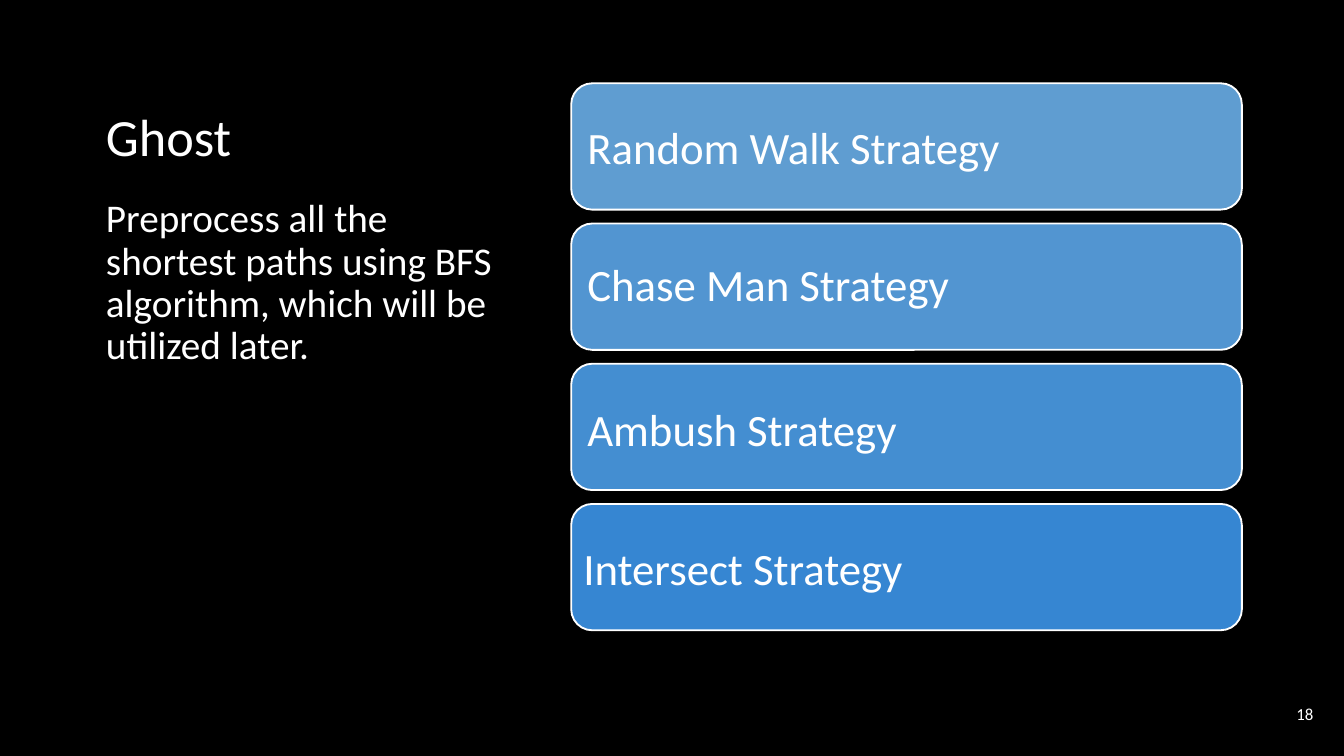
from pptx import Presentation
from pptx.dml.color import RGBColor
from pptx.enum.shapes import MSO_SHAPE
from pptx.enum.text import MSO_ANCHOR, PP_ALIGN
from pptx.util import Inches, Pt

ROUNDED = MSO_SHAPE.ROUNDED_RECTANGLE
TOP, MIDDLE = MSO_ANCHOR.TOP, MSO_ANCHOR.MIDDLE
LEFT, RIGHT = PP_ALIGN.LEFT, PP_ALIGN.RIGHT

BLACK = RGBColor(0x00, 0x00, 0x00)
WHITE = RGBColor(0xFF, 0xFF, 0xFF)
FONT = "Calibri"

# Label, card colour, label offset (left, top) in the card, line spacing
STRATEGIES = [
    ("Random Walk Strategy", RGBColor(0x5F, 0x9D, 0xD1), 0.03, 0.02, 1.15),
    ("Chase Man Strategy", RGBColor(0x52, 0x95, 0xD1), 0.03, 0.05, 0.9),
    ("Ambush Strategy", RGBColor(0x44, 0x8E, 0xD1), 0.03, 0.03, 1.15),
    ("Intersect Strategy", RGBColor(0x36, 0x86, 0xD2), 0, 0.08, 0.9),
]
CARD_HEIGHT = 0.94
LABEL_WIDTH, LABEL_HEIGHT = 4.94, 0.84


def add_text(slide, box, text, size, anchor=MIDDLE, align=LEFT, spacing=0.9,
             insets=(0.1, 0.1)):
    shape = slide.shapes.add_textbox(*(Inches(value) for value in box))
    frame = shape.text_frame
    frame.word_wrap = True
    frame.vertical_anchor = anchor
    frame.margin_left = frame.margin_right = Inches(insets[0])
    frame.margin_top = frame.margin_bottom = Inches(insets[1])
    frame.text = text
    paragraph = frame.paragraphs[0]
    paragraph.alignment = align
    paragraph.line_spacing = spacing
    font = paragraph.runs[0].font
    font.name, font.size = FONT, Pt(size)
    font.color.rgb = WHITE


def add_introduction(slide, left, top, width):
    """Title with the explanation below it."""
    add_text(slide, (left, top, 2.77, 0.92), "Ghost", 28, insets=(0.1, 0.05))
    add_text(slide, (left, top + 0.8, width, 1.6),
             "Preprocess all the shortest paths using BFS algorithm, "
             "which will be utilized later.", 21, anchor=TOP)


def add_strategy_cards(slide, left, top, width, height):
    """Stack of equally spaced cards that fills the given box."""
    pitch = (height - CARD_HEIGHT) / (len(STRATEGIES) - 1)
    for index, (label, color, dx, dy, spacing) in enumerate(STRATEGIES):
        card_top = top + index * pitch
        card = slide.shapes.add_shape(ROUNDED, Inches(left), Inches(card_top),
                                      Inches(width), Inches(CARD_HEIGHT))
        card.shadow.inherit = False
        card.fill.solid()
        card.fill.fore_color.rgb = color
        card.line.color.rgb = WHITE
        card.line.width = Pt(1)
        add_text(slide, (left + dx, card_top + dy, LABEL_WIDTH, LABEL_HEIGHT),
                 label, 24, spacing=spacing, insets=(0.09, 0.09))


def main():
    # Widescreen slide, 16:9
    presentation = Presentation()
    presentation.slide_width = Inches(10)
    presentation.slide_height = Inches(10 * 9 / 16)
    slide = presentation.slides.add_slide(presentation.slide_layouts[6])
    slide.background.fill.solid()
    slide.background.fill.fore_color.rgb = BLACK

    add_introduction(slide, 0.69, 0.58, 3.28)
    add_strategy_cards(slide, 4.25, 0.62, 4.99, 4.07)

    # Slide number
    add_text(slide, (9.27, 5.1, 0.6, 0.43), "18", 9, align=RIGHT, spacing=1.0)

    presentation.save("out.pptx")


if __name__ == "__main__":
    main()
